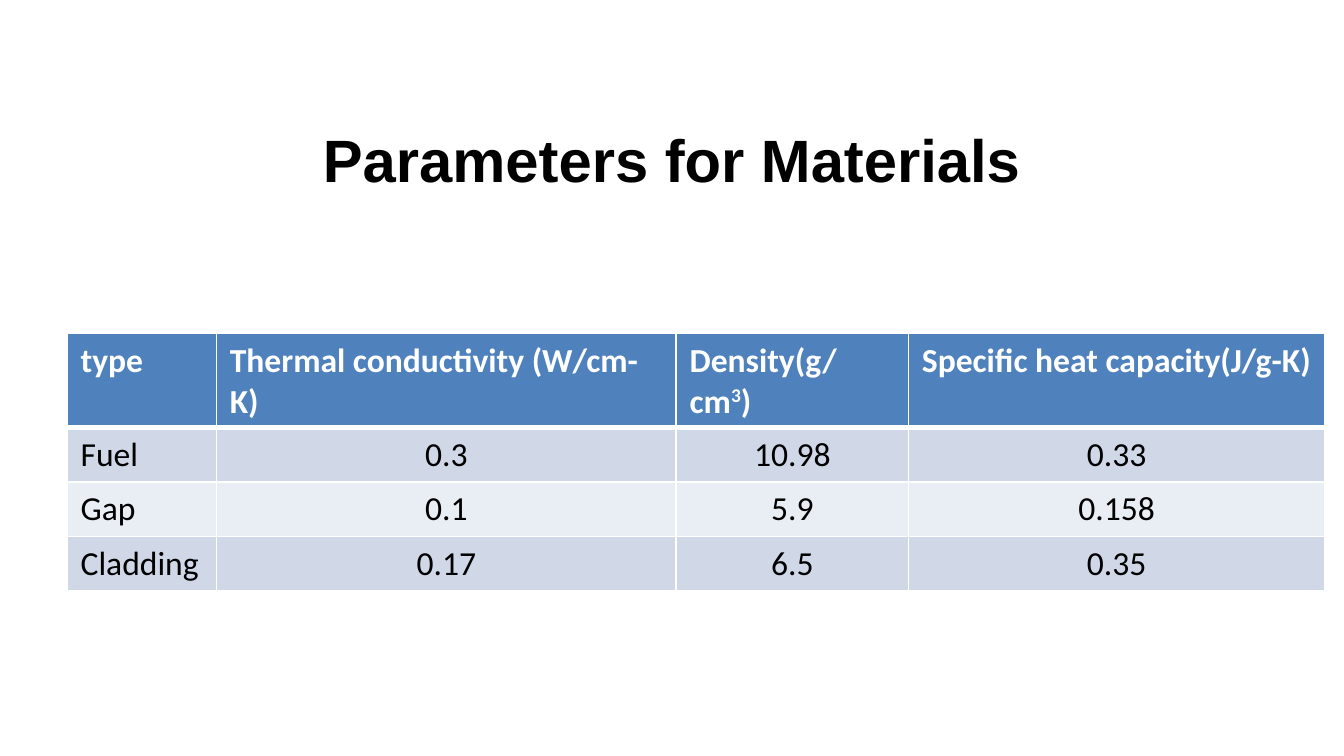
"""Build the slide listing thermal parameters of the fuel rod materials."""
from dataclasses import dataclass

from lxml.etree import SubElement
from pptx import Presentation
from pptx.dml.color import RGBColor
from pptx.enum.text import MSO_ANCHOR, PP_ALIGN
from pptx.oxml.ns import qn
from pptx.slide import Slide
from pptx.table import _Cell
from pptx.text.text import _Paragraph
from pptx.util import Cm, Pt

BLACK = RGBColor(0x00, 0x00, 0x00)
WHITE = RGBColor(0xFF, 0xFF, 0xFF)
HEADER_BLUE = RGBColor(0x4F, 0x81, 0xBD)
BAND_DARK = RGBColor(0xD0, 0xD8, 0xE8)
BAND_LIGHT = RGBColor(0xE9, 0xED, 0xF4)

TITLE_FORMAT = {"name": "Arial", "size": Pt(32), "bold": True}
HEADER_FORMAT = {"name": "Calibri", "size": Pt(18), "bold": True}
BODY_FORMAT = {**HEADER_FORMAT, "bold": False}


@dataclass(frozen=True)
class Material:
    """Parameters of one material, as shown."""

    kind: str
    conductivity: str
    density: str
    heat_capacity: str

    def values(self) -> list[str]:
        return [self.kind, self.conductivity, self.density, self.heat_capacity]


HEADINGS = [
    ["type"],
    ["Thermal conductivity (W/cm-K)"],
    ["Density(g/cm", "3", ")"],
    ["Specific heat capacity(J/g-K)"],
]
MATERIALS = [
    Material("Fuel", "0.3", "10.98", "0.33"),
    Material("Gap", "0.1", "5.9", "0.158"),
    Material("Cladding", "0.17", "6.5", "0.35"),
]
COLUMN_WIDTHS = [Cm(2.82), Cm(8.69), Cm(4.39), Cm(7.87)]
ROW_HEIGHT = Cm(1.03)


def write(paragraph: _Paragraph, parts: list[str], style: dict,
          color: RGBColor, align: PP_ALIGN) -> None:
    """Write text parts, raising every second one as a superscript."""
    paragraph.alignment = align
    for index, part in enumerate(parts):
        run = paragraph.add_run()
        run.text = part
        for attribute, value in style.items():
            setattr(run.font, attribute, value)
        run.font.color.rgb = color
        if index % 2:
            run.font._element.set("baseline", "30000")


def add_borders(cell: _Cell, widths: dict[str, Pt]) -> None:
    """Give the cell white borders of the given widths."""
    properties = cell._tc.get_or_add_tcPr()
    for side, width in widths.items():
        line = SubElement(properties, qn(f"a:ln{side}"), w=str(width))
        fill = SubElement(line, qn("a:solidFill"))
        SubElement(fill, qn("a:srgbClr"), val=str(WHITE))


def fill_cell(cell: _Cell, parts: list[str], row: int, column: int) -> None:
    """Fill one cell according to its place in the table."""
    header = row == 0
    widths = dict.fromkeys("LRTB", Pt(1))
    if header:
        widths["B"] = Pt(3)
    elif row == 1:
        widths["T"] = Pt(3)
    add_borders(cell, widths)
    cell.fill.solid()
    band = BAND_DARK if row % 2 else BAND_LIGHT
    cell.fill.fore_color.rgb = HEADER_BLUE if header else band
    write(cell.text_frame.paragraphs[0], parts,
          HEADER_FORMAT if header else BODY_FORMAT,
          WHITE if header else BLACK,
          PP_ALIGN.LEFT if header or column == 0 else PP_ALIGN.CENTER)


def add_title(slide: Slide, text: str) -> None:
    """Add the centred slide title."""
    title = slide.shapes.add_textbox(Cm(1.27), Cm(1.88), Cm(22.86), Cm(2.24))
    frame = title.text_frame
    frame.word_wrap = True
    frame.vertical_anchor = MSO_ANCHOR.MIDDLE
    write(frame.paragraphs[0], [text], TITLE_FORMAT, BLACK, PP_ALIGN.CENTER)


def add_parameters(slide: Slide) -> None:
    """Add the table of material parameters."""
    rows = [HEADINGS] + [[[value] for value in m.values()] for m in MATERIALS]
    table = slide.shapes.add_table(
        len(rows), len(HEADINGS), Cm(1.27), Cm(6.3),
        sum(COLUMN_WIDTHS), ROW_HEIGHT * len(rows)).table
    for column, width in zip(table.columns, COLUMN_WIDTHS):
        column.width = width
    for row, entries in enumerate(rows):
        table.rows[row].height = ROW_HEIGHT
        for column, parts in enumerate(entries):
            fill_cell(table.cell(row, column), parts, row, column)


def main() -> None:
    presentation = Presentation()
    presentation.slide_width = Cm(25.4)
    presentation.slide_height = Cm(14.29)
    slide = presentation.slides.add_slide(presentation.slide_layouts[6])
    add_title(slide, "Parameters for Materials")
    add_parameters(slide)
    presentation.save("out.pptx")


if __name__ == "__main__":
    main()
